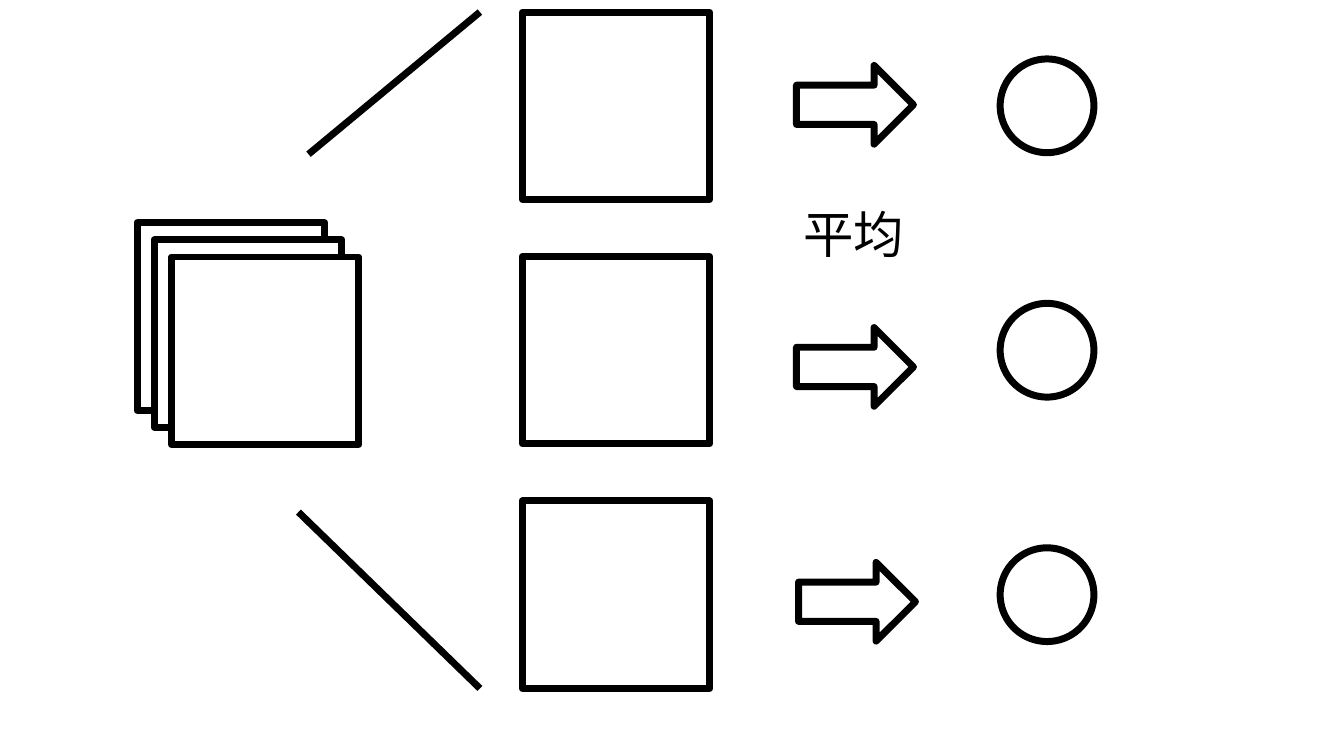
from lxml import etree
from pptx import Presentation
from pptx.dml.color import RGBColor
from pptx.enum import shapes, text
from pptx.oxml.ns import qn
from pptx.util import Inches, Pt

COLORS = {"ink": "000000", "paper": "FFFFFF"}
LINE_WIDTH = Pt(5)
SQUARE = 1.86
CIRCLE = 0.93
ROW_PITCH = 2.425


def color(name):
    return RGBColor.from_string(COLORS[name])


def style_line(line):
    line.color.rgb = color("ink")
    line.width = LINE_WIDTH


def add_outlined(slide, kind, left, top, width, height):
    shape = slide.shapes.add_shape(
        kind, Inches(left), Inches(top), Inches(width), Inches(height))
    shape.shadow.inherit = False
    shape.fill.solid()
    shape.fill.fore_color.rgb = color("paper")
    style_line(shape.line)


def add_square(slide, left, top):
    add_outlined(slide, shapes.MSO_SHAPE.RECTANGLE, left, top, SQUARE, SQUARE)


def add_circle(slide, left, top):
    add_outlined(slide, shapes.MSO_SHAPE.OVAL, left, top, CIRCLE, CIRCLE)


def add_arrow(slide, left, top):
    add_outlined(slide, shapes.MSO_SHAPE.RIGHT_ARROW, left, top, 1.16, 0.78)


def add_line(slide, start, end):
    connector = slide.shapes.add_connector(
        shapes.MSO_CONNECTOR.STRAIGHT, *map(Inches, start + end))
    style_line(connector.line)
    etree.SubElement(connector._element.spPr, qn("a:effectLst"))


def add_label(slide, wording, left, top, width, height):
    box = slide.shapes.add_textbox(
        Inches(left), Inches(top), Inches(width), Inches(height))
    frame = box.text_frame
    frame.word_wrap = False
    frame.auto_size = text.MSO_AUTO_SIZE.SHAPE_TO_FIT_TEXT
    paragraph = frame.paragraphs[0]
    paragraph.text = wording
    paragraph.font.name = "Arial"
    paragraph.font.size = Pt(36)
    paragraph.font.color.rgb = color("ink")


def main():
    presentation = Presentation()
    presentation.slide_width = Inches(13.33)
    presentation.slide_height = Inches(7.5)
    slide = presentation.slides.add_slide(presentation.slide_layouts[6])

    for layer in range(3):
        offset = layer * 0.17
        add_square(slide, 1.36 + offset, 2.21 + offset)
    for row in range(3):
        top = 0.12 + row * ROW_PITCH
        add_square(slide, 5.18, top)
        add_circle(slide, 9.92, top + (SQUARE - CIRCLE) / 2)
    for left, top in [(7.9, 0.65), (7.9, 3.25), (7.92, 5.58)]:
        add_arrow(slide, left, top)
    add_label(slide, "平均", 7.87, 1.97, 1.21, 0.71)
    add_line(slide, (3.06, 1.53), (4.76, 0.12))
    add_line(slide, (2.96, 5.08), (4.76, 6.83))

    presentation.save("out.pptx")


main()
